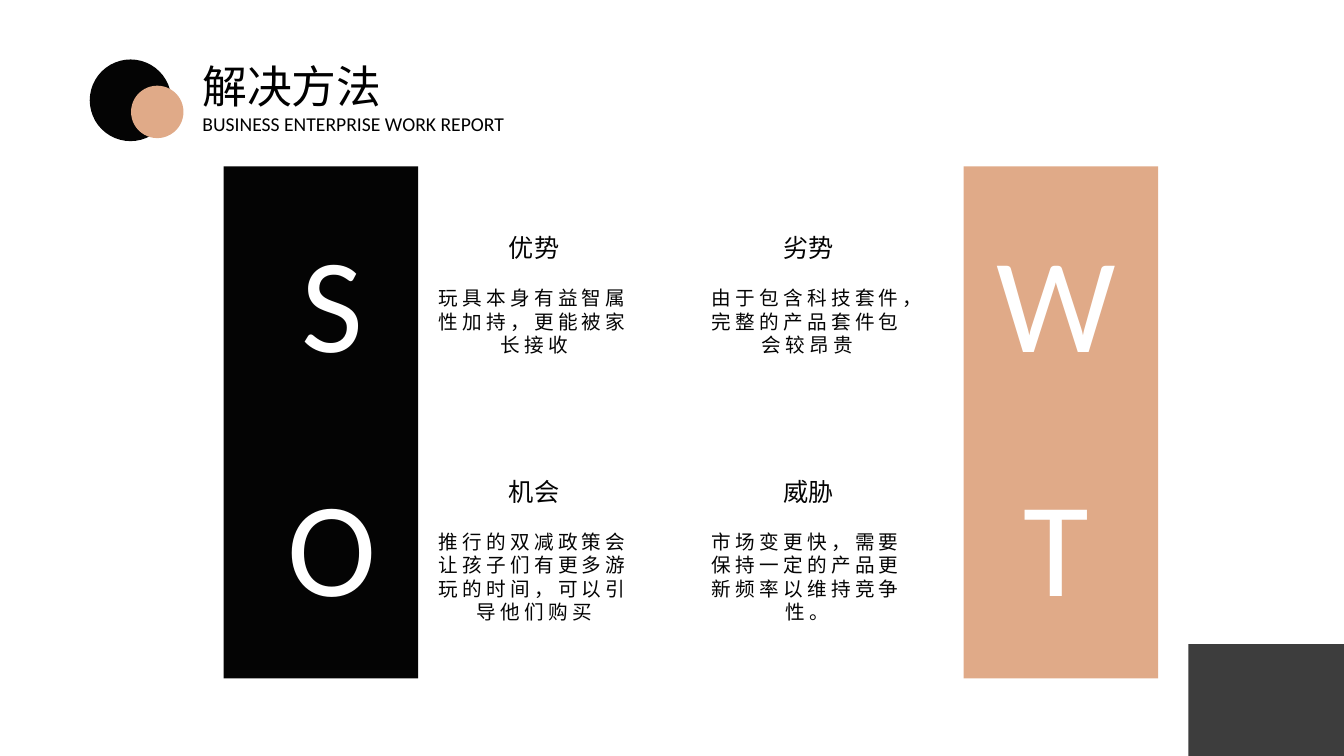
import dataclasses

import lxml.etree
import pptx
import pptx.dml.color
import pptx.enum.lang
import pptx.enum.shapes
import pptx.enum.text
import pptx.oxml.ns
import pptx.util

ALIGN = pptx.enum.text.PP_ALIGN
ANCHOR = pptx.enum.text.MSO_ANCHOR
SHAPE = pptx.enum.shapes.MSO_SHAPE

# The slide is a grid of square cells, twelve to the inch.
COLUMNS, ROWS = 160, 90
CELL = pptx.util.Inches(1) / 12


@dataclasses.dataclass(frozen=True)
class Theme:
    font: str = "Calibri"
    ink: str = "040404"
    accent: str = "E0AA88"
    corner: str = "0D0D0D"
    title: str = "000000"
    letter: str = "FFFFFF"
    title_size: int = 32
    letter_size: int = 96
    heading_size: int = 18
    body_size: int = 14
    body_spacing: int = 3


THEME = Theme()

BAND_LEFTS = (26.64, 114.72)
BAND_COLOURS = (THEME.ink, THEME.accent)
LETTER_LEFTS = (29.88, 116.04)
HEADING_LEFTS = (51.36, 84)
BODY_LEFTS = (50.88, 83.4)
LETTER_TOP, HEADING_TOP, BODY_TOP = 25.4, 27.7, 33.45
QUADRANT_STEP = 29

# Rows of the matrix: body height, then letter, heading and body per column.
SWOT = (
    (9.72, (
        ("S", "优势", "玩具本身有益智属性加持，更能被家长接收"),
        ("W", "劣势", "由于包含科技套件，完整的产品套件包会较昂贵"),
    )),
    (12.48, (
        ("O", "机会", "推行的双减政策会让孩子们有更多游玩的时间，可以引导他们购买"),
        ("T", "威胁", "市场变更快，需要保持一定的产品更新频率以维持竞争性。"),
    )),
)


def on_grid(*cells):
    return [round(cell * CELL) for cell in cells]


def add_block(slide, kind, box, colour, opacity=100):
    block = slide.shapes.add_shape(kind, *on_grid(*box))
    block.shadow.inherit = False
    block.line.fill.background()
    block.fill.solid()
    block.fill.fore_color.rgb = pptx.dml.color.RGBColor.from_string(colour)
    if opacity < 100:
        qn = pptx.oxml.ns.qn
        solid = block.fill.fore_color._xFill.find(qn("a:srgbClr"))
        lxml.etree.SubElement(solid, qn("a:alpha"), val=str(opacity * 1000))


def add_words(slide, words, box, size, colour, align=ALIGN.CENTER, spacing=0):
    """Add a wrapped one-paragraph text box; spacing is in points."""
    label = slide.shapes.add_textbox(*on_grid(*box))
    frame = label.text_frame
    frame.text = words
    frame.word_wrap = True
    paragraph = frame.paragraphs[0]
    paragraph.alignment = align
    run = paragraph.runs[0]
    run.font.size = pptx.util.Pt(size)
    run.font.color.rgb = pptx.dml.color.RGBColor.from_string(colour)
    run.font.name = THEME.font
    run.font.language_id = pptx.enum.lang.MSO_LANGUAGE_ID.SIMPLIFIED_CHINESE
    properties = run._r.get_or_add_rPr()
    lxml.etree.SubElement(properties, pptx.oxml.ns.qn("a:ea"), typeface=THEME.font)
    if spacing:
        properties.set("spc", str(spacing * 100))
    return frame


def add_heading(slide, words, left, top):
    frame = add_words(slide, words, (left, top, 24.48, 3.6),
                      THEME.heading_size, THEME.ink)
    frame.vertical_anchor = ANCHOR.MIDDLE
    frame.margin_top = frame.margin_bottom = 0


def add_quadrant(slide, column, row, body_height, letter, heading, body):
    drop = row * QUADRANT_STEP
    add_words(slide, letter, (LETTER_LEFTS[column], LETTER_TOP + drop, 19.32, 20.64),
              THEME.letter_size, THEME.letter)
    add_heading(slide, heading, HEADING_LEFTS[column], HEADING_TOP + drop)
    add_words(slide, body, (BODY_LEFTS[column], BODY_TOP + drop, 25.44, body_height),
              THEME.body_size, THEME.ink, spacing=THEME.body_spacing)


def add_header(slide):
    add_block(slide, SHAPE.OVAL, (10.68, 7.08, 9.72, 9.72), THEME.ink)
    add_block(slide, SHAPE.OVAL, (15.6, 10.2, 6.24, 6.24), THEME.accent)
    add_words(slide, "解决方法", (22.92, 6.36, 32.4, 7.68),
              THEME.title_size, THEME.title, ALIGN.JUSTIFY)
    add_words(slide, "BUSINESS ENTERPRISE WORK REPORT", (22.92, 12.72, 48.48, 4.08),
              THEME.body_size, THEME.title, ALIGN.JUSTIFY)


def main():
    deck = pptx.Presentation()
    deck.slide_width, deck.slide_height = on_grid(COLUMNS, ROWS)
    slide = deck.slides.add_slide(deck.slide_layouts[6])
    for left, colour in zip(BAND_LEFTS, BAND_COLOURS):
        add_block(slide, SHAPE.RECTANGLE, (left, 19.8, 23.16, 60.96), colour)
    add_header(slide)
    for row, (body_height, quadrants) in enumerate(SWOT):
        for column, quadrant in enumerate(quadrants):
            add_quadrant(slide, column, row, body_height, *quadrant)
    add_block(slide, SHAPE.RECTANGLE, (141.48, 76.68, 18.52, 13.32),
              THEME.corner, opacity=80)
    deck.save("out.pptx")


if __name__ == "__main__":
    main()
